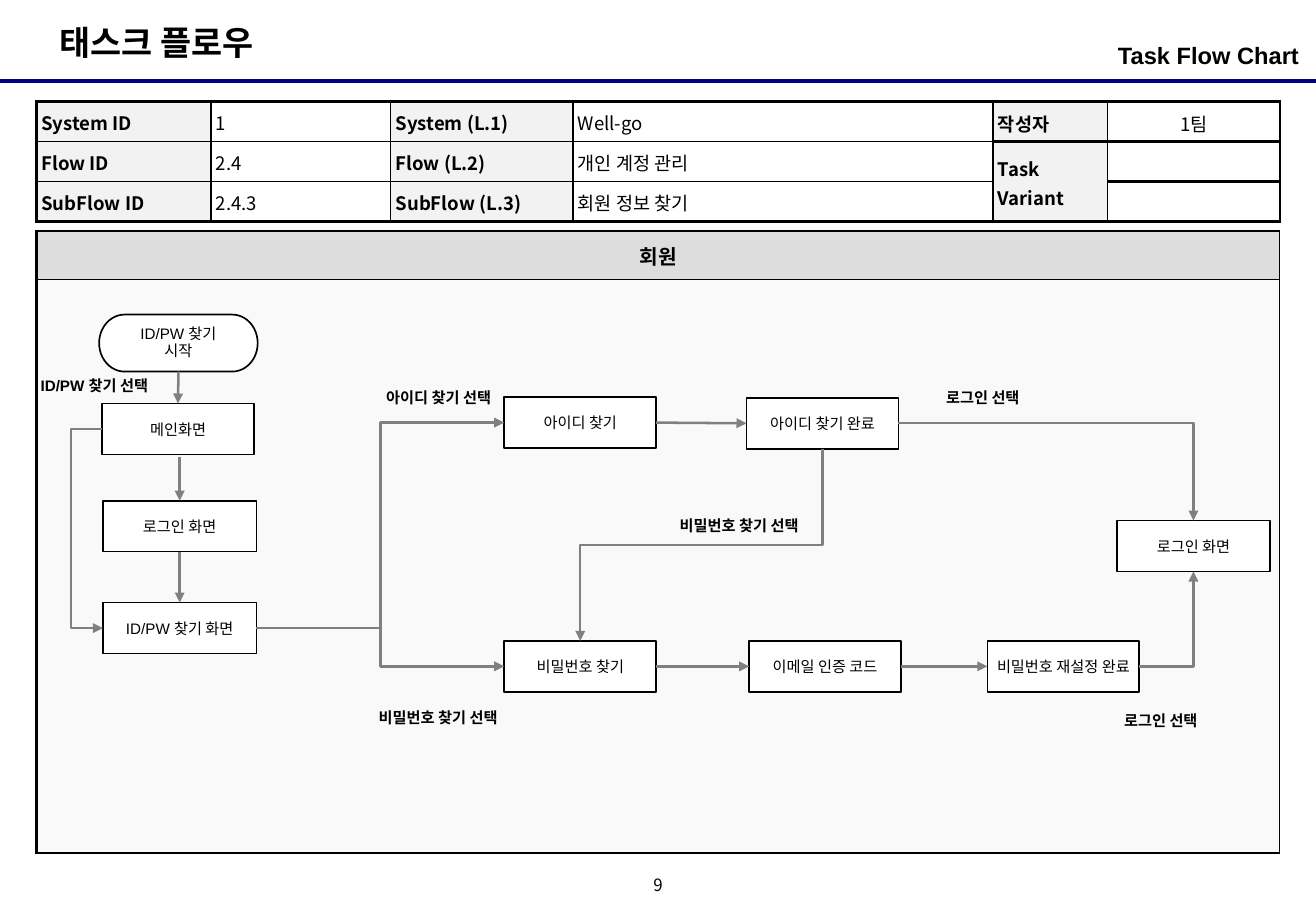
from dataclasses import dataclass

from lxml.etree import SubElement
from pptx import Presentation
from pptx.dml.color import RGBColor
from pptx.enum.shapes import MSO_CONNECTOR, MSO_SHAPE
from pptx.enum.text import MSO_ANCHOR, PP_ALIGN
from pptx.oxml.ns import qn
from pptx.util import Pt

TOP, LEFT, BOTTOM, RIGHT = range(4)


@dataclass(frozen=True)
class Theme:
    latin: str = "Arial"
    korean: str = "Noto Sans CJK KR"
    ink: str = "000000"
    paper: str = "FFFFFF"
    rule: str = "000080"
    arrow: str = "808080"
    key: str = "F2F2F2"
    lane_head: str = "DDDDDD"
    lane: str = "F9F9F9"
    title: float = 20
    subtitle: float = 14
    lane_title: float = 12
    cell: float = 11
    page: float = 10
    step: float = 9
    heavy: float = 1.5


class FlowSlide:
    def __init__(self, deck, theme):
        self.theme = theme
        self.slide = deck.slides.add_slide(deck.slide_layouts[5])
        self.shapes = self.slide.shapes

    def add_words(self, paragraph, text, size, bold=False, font=None):
        run = paragraph.add_run()
        run.text = text
        run.font.name = font or self.theme.korean
        run.font.size = Pt(size)
        run.font.bold = bold
        run.font.color.rgb = RGBColor.from_string(self.theme.ink)
        SubElement(run.font._element, qn("a:ea"), typeface=self.theme.korean)

    def frame(self, shape, anchor=MSO_ANCHOR.TOP, insets=(7.2, 3.6), wrap=True):
        frame = shape.text_frame
        frame.word_wrap = wrap
        frame.vertical_anchor = anchor
        frame.margin_left = frame.margin_right = Pt(insets[0])
        frame.margin_top = frame.margin_bottom = Pt(insets[1])
        return frame

    def title(self, text, *box):
        heading = self.shapes.title
        heading.left, heading.top, heading.width, heading.height = map(Pt, box)
        paragraph = self.frame(heading, wrap=False).paragraphs[0]
        paragraph.alignment = PP_ALIGN.LEFT
        self.add_words(paragraph, text, self.theme.title, True)

    def text(self, runs, box, size, bold=True, align=PP_ALIGN.LEFT,
             insets=(7.2, 3.6), anchor=MSO_ANCHOR.TOP):
        holder = self.shapes.add_textbox(*map(Pt, box))
        paragraph = self.frame(holder, anchor, insets).paragraphs[0]
        paragraph.alignment = align
        for words, font in runs:
            self.add_words(paragraph, words, size, bold, font)

    def step(self, lines, left, top, width=90, height=30.2, kind=MSO_SHAPE.RECTANGLE):
        step = self.shapes.add_shape(kind, *map(Pt, (left, top, width, height)))
        step.shadow.inherit = False
        step.fill.solid()
        step.fill.fore_color.rgb = RGBColor.from_string(self.theme.paper)
        step.line.color.rgb = RGBColor.from_string(self.theme.ink)
        step.line.width = Pt(1)
        frame = self.frame(step, MSO_ANCHOR.MIDDLE, (1.4, 0))
        for index, line in enumerate(lines):
            paragraph = frame.add_paragraph() if index else frame.paragraphs[0]
            paragraph.alignment = PP_ALIGN.CENTER
            if len(lines) > 1:
                paragraph.line_spacing = 0.9
            self.add_words(paragraph, line, self.theme.step, font=self.theme.latin)
        return step

    def line(self, color, width, kind=MSO_CONNECTOR.STRAIGHT, ends=(0, 0, 0, 0)):
        line = self.shapes.add_connector(kind, *map(Pt, ends))
        line.line.color.rgb = RGBColor.from_string(color)
        line.line.width = Pt(width)
        SubElement(line._element.spPr, qn("a:effectLst"))
        return line

    def arrow(self, source, source_side, target, target_side,
              kind=MSO_CONNECTOR.STRAIGHT):
        arrow = self.line(self.theme.arrow, self.theme.heavy, kind)
        SubElement(arrow._element.spPr.find(qn("a:ln")), qn("a:tailEnd"), type="triangle")
        if isinstance(source, tuple):
            arrow.begin_x, arrow.begin_y = map(Pt, source)
        else:
            arrow.begin_connect(source, source_side)
        arrow.end_connect(target, target_side)
        return arrow

    def elbow(self, source, source_side, target, target_side, detour=18):
        arrow = self.arrow(source, source_side, target, target_side, MSO_CONNECTOR.ELBOW)
        geometry = arrow._element.spPr.find(qn("a:prstGeom"))
        if source_side == RIGHT and target_side in (TOP, BOTTOM):
            geometry.set("prst", "bentConnector2")
        elif source_side == BOTTOM:
            width, height = arrow.width, arrow.height
            arrow.left += (width - height) // 2
            arrow.top += (height - width) // 2
            arrow.width, arrow.height = height, width
            transform = arrow._element.spPr.find(qn("a:xfrm"))
            transform.attrib.pop("flipH", None)
            transform.set("rot", "5400000")
        elif source_side == target_side:
            bend = -round(Pt(detour) / arrow.width * 100000)
            SubElement(geometry.find(qn("a:avLst")), qn("a:gd"),
                       name="adj1", fmla=f"val {bend}")

    def table(self, left, top, widths, heights, inner, right, heavy_from=99):
        grid = self.shapes.add_table(
            len(heights), len(widths),
            *map(Pt, (left, top, sum(widths), sum(heights)))).table
        grid.first_row = grid.horz_banding = False
        for column, width in zip(grid.columns, widths):
            column.width = Pt(width)
        for row, height in zip(grid.rows, heights):
            row.height = Pt(height)
        heavy = self.theme.heavy
        for r in range(len(heights)):
            for c in range(len(widths)):
                flat = heavy if c >= heavy_from else inner
                self.borders(grid.cell(r, c), {
                    "lnL": inner if c else heavy,
                    "lnR": right if c == len(widths) - 1 else inner,
                    "lnT": flat if r else heavy,
                    "lnB": heavy if r == len(heights) - 1 else flat})
        return grid

    def borders(self, cell, widths):
        properties = cell._tc.get_or_add_tcPr()
        for side, width in widths.items():
            edge = SubElement(properties, qn(f"a:{side}"), w=str(Pt(width)))
            fill = SubElement(edge, qn("a:solidFill"))
            SubElement(fill, qn("a:srgbClr"), val=self.theme.ink)

    def cell(self, cell, text, fill, size, bold, align=PP_ALIGN.LEFT,
             anchor=MSO_ANCHOR.TOP, inset=2.9, spacing=1.1):
        cell.fill.solid()
        cell.fill.fore_color.rgb = RGBColor.from_string(fill)
        cell.vertical_anchor = anchor
        cell.margin_left = cell.margin_right = Pt(inset)
        cell.margin_top = cell.margin_bottom = Pt(inset)
        paragraph = cell.text_frame.paragraphs[0]
        paragraph.alignment = align
        paragraph.line_spacing = spacing
        if text:
            self.add_words(paragraph, text, size, bold)
        else:
            SubElement(paragraph._p, qn("a:endParaRPr"), sz=str(size * 100))


def main():
    theme = Theme()
    deck = Presentation()
    deck.slide_width, deck.slide_height = Pt(780), Pt(540)
    page = FlowSlide(deck, theme)

    page.line(theme.rule, 2.25, ends=(0, 48.2, 780, 48.2))
    page.title("태스크 플로우", 28, 9.4, 142.6, 31.7)
    page.text([("Task Flow Chart", theme.latin)], (532, 20.8, 238, 28),
              theme.subtitle, align=PP_ALIGN.RIGHT, insets=(0, 3.6))
    page.text([("9", None)], (378, 515.5, 24, 18), theme.page, False,
              PP_ALIGN.CENTER, (0, 0), MSO_ANCHOR.MIDDLE)

    lane = page.table(21.6, 136.8, [737], [29, 340], 0.75, 0.75)
    page.cell(lane.cell(0, 0), "회원", theme.lane_head, theme.lane_title, True,
              PP_ALIGN.CENTER, MSO_ANCHOR.MIDDLE, spacing=1)
    page.cell(lane.cell(1, 0), "", theme.lane, theme.lane_title, False)

    info = page.table(21.6, 60.2, [103.5, 106.5, 108, 249, 68, 102], [23.7] * 3,
                      1, theme.heavy, heavy_from=4)
    facts = [
        ["System ID", "1", "System (L.1)", "Well-go", "작성자", "1팀"],
        ["Flow ID", "2.4", "Flow (L.2)", "개인 계정 관리", "Task Variant", ""],
        ["SubFlow ID", "2.4.3", "SubFlow (L.3)", "회원 정보 찾기", "", ""],
    ]
    for r, row in enumerate(facts):
        for c, fact in enumerate(row):
            is_key = c % 2 == 0
            page.cell(info.cell(r, c), fact, theme.key if is_key else theme.paper,
                      theme.cell, is_key,
                      PP_ALIGN.CENTER if c == 5 else PP_ALIGN.LEFT,
                      MSO_ANCHOR.MIDDLE if c >= 4 else MSO_ANCHOR.TOP)
    info.cell(1, 4).merge(info.cell(2, 4))

    start = page.step(["ID/PW 찾기", "시작"], 58.8, 186.5, 94, 33.8,
                      MSO_SHAPE.FLOWCHART_TERMINATOR)
    home = page.step(["메인화면"], 60.5, 239.2)
    login = page.step(["로그인 화면"], 61, 296.8, 91)
    find = page.step(["ID/PW 찾기 화면"], 61, 357.2, 91)
    find_id = page.step(["아이디 찾기"], 298.9, 235.4)
    id_done = page.step(["아이디 찾기 완료"], 442.5, 235.8)
    find_pw = page.step(["비밀번호 찾기"], 298.9, 379.9)
    email_code = page.step(["이메일 인증 코드"], 444, 379.9)
    pw_done = page.step(["비밀번호 재설정 완료"], 585.2, 379.9)
    login_again = page.step(["로그인 화면"], 661.9, 308.6, 91)

    page.arrow(start, BOTTOM, home, TOP)
    page.arrow((106.5, 270.7), None, login, TOP)
    page.arrow(login, BOTTOM, find, TOP)
    page.arrow(find_id, RIGHT, id_done, LEFT)
    page.arrow(find_pw, RIGHT, email_code, LEFT)
    page.arrow(email_code, RIGHT, pw_done, LEFT)
    page.elbow(home, LEFT, find, LEFT)
    page.elbow(find, RIGHT, find_id, LEFT)
    page.elbow(find, RIGHT, find_pw, LEFT)
    page.elbow(id_done, BOTTOM, find_pw, TOP)
    page.elbow(id_done, RIGHT, login_again, TOP)
    page.elbow(pw_done, RIGHT, login_again, BOTTOM)

    choices = [
        ([("ID/PW 찾기 ", theme.latin), ("선택", None)], 17, 219.6, 86),
        ([("아이디 찾기 선택", None)], 221.8, 226.8, 104),
        ([("비밀번호 찾기 선택", None)], 217.4, 416.5, 104),
        ([("로그인 선택", None)], 553.7, 226.5, 64),
        ([("비밀번호 찾기 선택", None)], 395.8, 302.4, 94),
        ([("로그인 선택", None)], 659.2, 418.3, 64),
    ]
    for runs, left, top, width in choices:
        page.text(runs, (left, top, width, 18), theme.step)

    deck.save("out.pptx")


if __name__ == "__main__":
    main()
